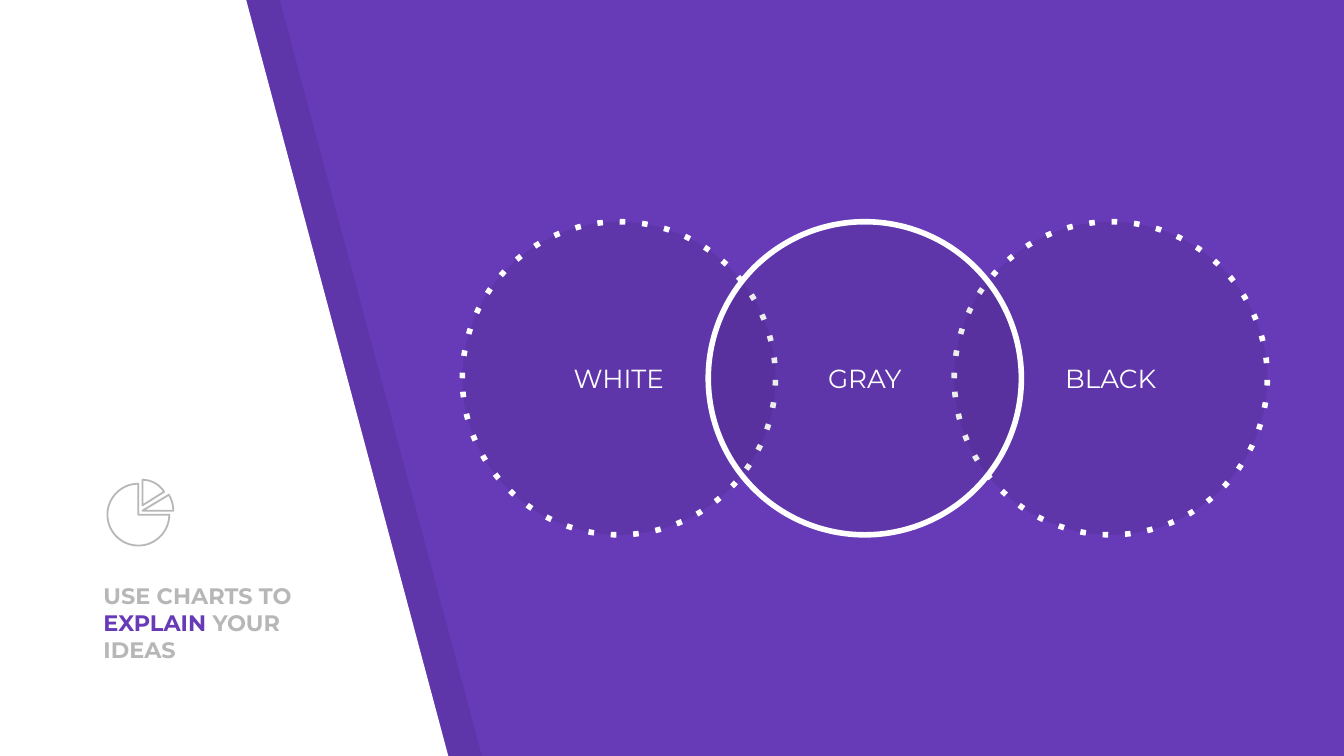
from math import cos, radians, sin

from lxml import etree
from pptx import Presentation
from pptx import util as u
from pptx.dml.color import RGBColor
from pptx.enum import shapes, text
from pptx.oxml.ns import qn

PURPLE = RGBColor(0x67, 0x3A, 0xB7)
GRAY = RGBColor(0xB7, 0xB7, 0xB7)
WHITE = RGBColor(0xFF, 0xFF, 0xFF)
BLACK = RGBColor(0x00, 0x00, 0x00)
FONT = "Montserrat"

deck = Presentation()
deck.slide_width = u.Inches(10)
deck.slide_height = deck.slide_width * 9 // 16
page = deck.slides.add_slide(deck.slide_layouts[5])
page.background.fill.solid()
page.background.fill.fore_color.rgb = PURPLE


def draw_outline(points):
    corners = [(u.Inches(x), u.Inches(y)) for x, y in points]
    builder = page.shapes.build_freeform(*corners[0])
    builder.add_line_segments(corners[1:], close=True)
    shape = builder.convert_to_shape()
    shape.shadow.inherit = False
    return shape


def paint(shape, color, opacity=100):
    shape.fill.solid()
    shape.fill.fore_color.rgb = color
    if opacity < 100:
        rgb = shape.fill._xPr.find(qn("a:solidFill"))[0]
        etree.SubElement(rgb, qn("a:alpha"), val=str(opacity * 1000))


# Slanted white panel over its shade
for left, color, opacity in ((0.23, BLACK, 7), (-0.02, WHITE, 100)):
    panel = draw_outline([(left, -0.01), (left, 5.64),
                          (left + 3.36, 5.64), (left + 1.85, -0.01)])
    paint(panel, color, opacity)
    panel.line.fill.background()

# Title, brought in front of the panel
title = page.shapes.title
page.shapes._spTree.append(title._element)
place = {"left": 0.67, "top": 4.5, "width": 1.76, "height": 0.53}
for name, value in place.items():
    setattr(title, name, u.Inches(value))
frame = title.text_frame
frame_format = {"word_wrap": True, "auto_size": text.MSO_AUTO_SIZE.NONE,
                "vertical_anchor": text.MSO_ANCHOR.BOTTOM}
frame_format.update({f"margin_{side}": u.Inches(0.1)
                     for side in ("left", "top", "right", "bottom")})
for name, value in frame_format.items():
    setattr(frame, name, value)
para = frame.paragraphs[0]
para.alignment = text.PP_ALIGN.LEFT
for words, color in (("USE CHARTS TO ", GRAY), ("EXPLAIN", PURPLE), (" YOUR IDEAS", GRAY)):
    span = para.add_run()
    span.text = words
    span.font.name, span.font.size, span.font.bold = FONT, u.Pt(12), True
    span.font.color.rgb = color

# Three overlapping circles, the solid one in front
FIRST_LEFT, STEP, DIAMETER = 3.44, 1.83, 2.33
for column, label, dotted in ((0, "WHITE", True), (2, "BLACK", True), (1, "GRAY", False)):
    circle = page.shapes.add_shape(
        shapes.MSO_SHAPE.OVAL, u.Inches(FIRST_LEFT + column * STEP), u.Inches(1.65),
        u.Inches(DIAMETER), u.Inches(DIAMETER))
    circle.shadow.inherit = False
    paint(circle, BLACK, 7)
    circle.line.color.rgb = WHITE
    circle.line.width = u.Pt(3)
    if dotted:
        etree.SubElement(circle.line._get_or_add_ln(), qn("a:prstDash"), val="dot")
    circle.text_frame.vertical_anchor = text.MSO_ANCHOR.MIDDLE
    para = circle.text_frame.paragraphs[0]
    para.alignment = text.PP_ALIGN.CENTER
    span = para.add_run()
    span.text = label
    span.font.name, span.font.size = FONT, u.Pt(14)
    span.font.color.rgb = WHITE

# Pie icon: centre, radius, first and last angle, clockwise from the right
for x, y, radius, start, end in ((1.03, 3.83, 0.23, 0, 270),
                                 (1.06, 3.76, 0.19, 270, 328),
                                 (1.06, 3.8, 0.23, 329, 360)):
    steps = (end - start) // 4
    angles = [radians(start + (end - start) * i / steps) for i in range(steps + 1)]
    wedge = draw_outline([(x, y)] + [(x + radius * cos(a), y + radius * sin(a))
                                     for a in angles])
    wedge.fill.background()
    wedge.line.color.rgb = GRAY
    wedge.line.width = u.Pt(0.96)

deck.save("out.pptx")
